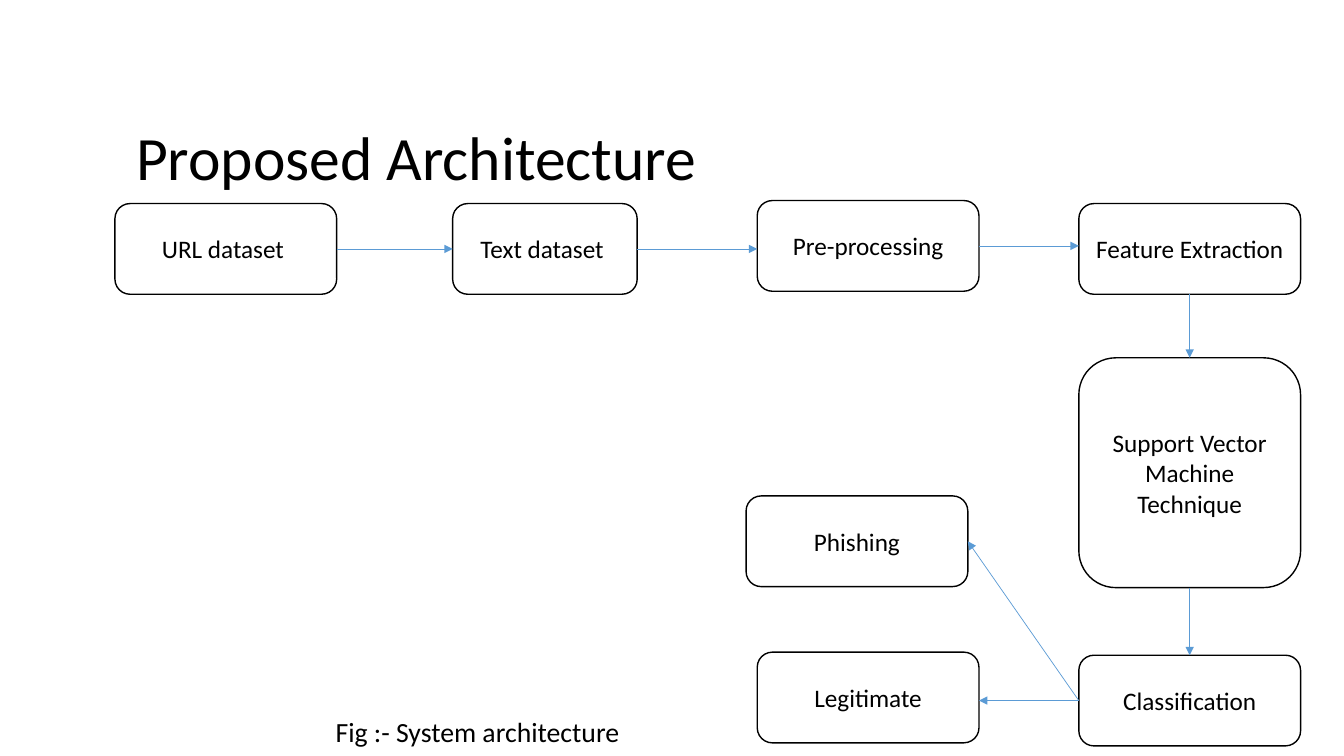
from dataclasses import dataclass

import pptx
import pptx.dml.color
import pptx.enum.shapes
import pptx.enum.text
import pptx.oxml
import pptx.oxml.ns
import pptx.util

SLIDE_WIDTH = pptx.util.Inches(13.33)
SLIDE_HEIGHT = pptx.util.Inches(7.5)
FONT = "Calibri"
BLACK, WHITE, ARROW_BLUE = "000000", "FFFFFF", "5B9BD5"
TOP, LEFT, BOTTOM, RIGHT = range(4)
ALIGN = pptx.enum.text.PP_ALIGN


@dataclass(frozen=True)
class Area:
    """Place and size in percent of the slide's width and height."""
    left: float
    top: float
    width: float = 16.5
    height: float = 12

    def lengths(self) -> tuple[int, int, int, int]:
        return (int(SLIDE_WIDTH * self.left / 100), int(SLIDE_HEIGHT * self.top / 100),
                int(SLIDE_WIDTH * self.width / 100), int(SLIDE_HEIGHT * self.height / 100))


@dataclass(frozen=True)
class Step:
    name: str
    label: str
    area: Area


@dataclass(frozen=True)
class Arrow:
    """An arrow between two sides; an unjoined one stays level with its start."""
    source: str
    source_side: int
    target: str
    target_side: int
    joined: bool = True


LAST_COLUMN = 80.27
STEPS = [
    Step("url", "URL dataset ", Area(8.55, 26.93)),
    Step("text", "Text dataset ", Area(33.68, 26.93, width=13.73)),
    Step("preprocessing", "Pre-processing", Area(56.34, 26.53)),
    Step("features", "Feature Extraction", Area(LAST_COLUMN, 26.93)),
    Step("svm", "Support Vector Machine Technique", Area(LAST_COLUMN, 47.33, height=30.4)),
    Step("classification", "Classification", Area(LAST_COLUMN, 86.67)),
    Step("phishing", "Phishing", Area(55.51, 65.6)),
    Step("legitimate", "Legitimate", Area(56.34, 86.27)),
]
ARROWS = [
    Arrow("url", RIGHT, "text", LEFT),
    Arrow("text", RIGHT, "preprocessing", LEFT, joined=False),
    Arrow("preprocessing", RIGHT, "features", LEFT, joined=False),
    Arrow("features", BOTTOM, "svm", TOP),
    Arrow("svm", BOTTOM, "classification", TOP),
    Arrow("classification", LEFT, "phishing", RIGHT),
    Arrow("classification", LEFT, "legitimate", RIGHT, joined=False),
]


def color(value: str) -> pptx.dml.color.RGBColor:
    return pptx.dml.color.RGBColor.from_string(value)


def write(shape, text: str, *, size: float = 18, align=ALIGN.LEFT, spacing: float = 1.0) -> None:
    frame = shape.text_frame
    frame.word_wrap = True
    frame.auto_size = pptx.enum.text.MSO_AUTO_SIZE.NONE
    frame.vertical_anchor = pptx.enum.text.MSO_ANCHOR.MIDDLE
    para = frame.paragraphs[0]
    para.alignment = align
    para.line_spacing = spacing
    span = para.add_run()
    span.text = text
    span.font.name = FONT
    span.font.size = pptx.util.Pt(size)
    span.font.color.rgb = color(BLACK)


def add_title(page, text: str, area: Area) -> None:
    title = page.shapes.title
    title.left, title.top, title.width, title.height = area.lengths()
    write(title, text, size=44, spacing=0.9)


def add_step(page, step: Step):
    box = page.shapes.add_shape(
        pptx.enum.shapes.MSO_SHAPE.ROUNDED_RECTANGLE, *step.area.lengths())
    box.shadow.inherit = False
    box.fill.solid()
    box.fill.fore_color.rgb = color(WHITE)
    box.line.color.rgb = color(BLACK)
    box.line.width = pptx.util.Pt(1)
    write(box, step.label, align=ALIGN.CENTER)
    return box


def side_middle(box, side: int) -> tuple[int, int]:
    across = {LEFT: 0, RIGHT: box.width}.get(side, box.width // 2)
    down = {TOP: 0, BOTTOM: box.height}.get(side, box.height // 2)
    return box.left + across, box.top + down


def add_arrow(page, arrow: Arrow, boxes: dict) -> None:
    source, target = boxes[arrow.source], boxes[arrow.target]
    start = side_middle(source, arrow.source_side)
    end = side_middle(target, arrow.target_side)
    if not arrow.joined:
        end = (end[0], start[1])
    line = page.shapes.add_connector(
        pptx.enum.shapes.MSO_CONNECTOR.STRAIGHT, *start, *end)
    line.begin_connect(source, arrow.source_side)
    if arrow.joined:
        line.end_connect(target, arrow.target_side)
    line.line.color.rgb = color(ARROW_BLUE)
    line.line.width = pptx.util.Pt(0.5)
    properties = line.element.spPr
    head = pptx.oxml.parse_xml(
        f'<a:tailEnd {pptx.oxml.ns.nsdecls("a")} type="triangle"/>')
    properties.find(pptx.oxml.ns.qn("a:ln")).append(head)
    properties.append(pptx.oxml.parse_xml(
        f'<a:effectLst {pptx.oxml.ns.nsdecls("a")}/>'))


def main() -> None:
    deck = pptx.Presentation()
    deck.slide_width, deck.slide_height = SLIDE_WIDTH, SLIDE_HEIGHT
    page = deck.slides.add_slide(deck.slide_layouts.get_by_name("Title Only"))
    add_title(page, "Proposed Architecture", Area(9.38, 9.6, 85, 23.33))
    boxes = {step.name: add_step(page, step) for step in STEPS}
    for arrow in ARROWS:
        add_arrow(page, arrow, boxes)
    caption = page.shapes.add_textbox(*Area(24.23, 94.67, 22.96, 5.33).lengths())
    write(caption, "Fig :- System architecture", size=19.8, spacing=0.7)
    deck.save("out.pptx")


if __name__ == "__main__":
    main()
